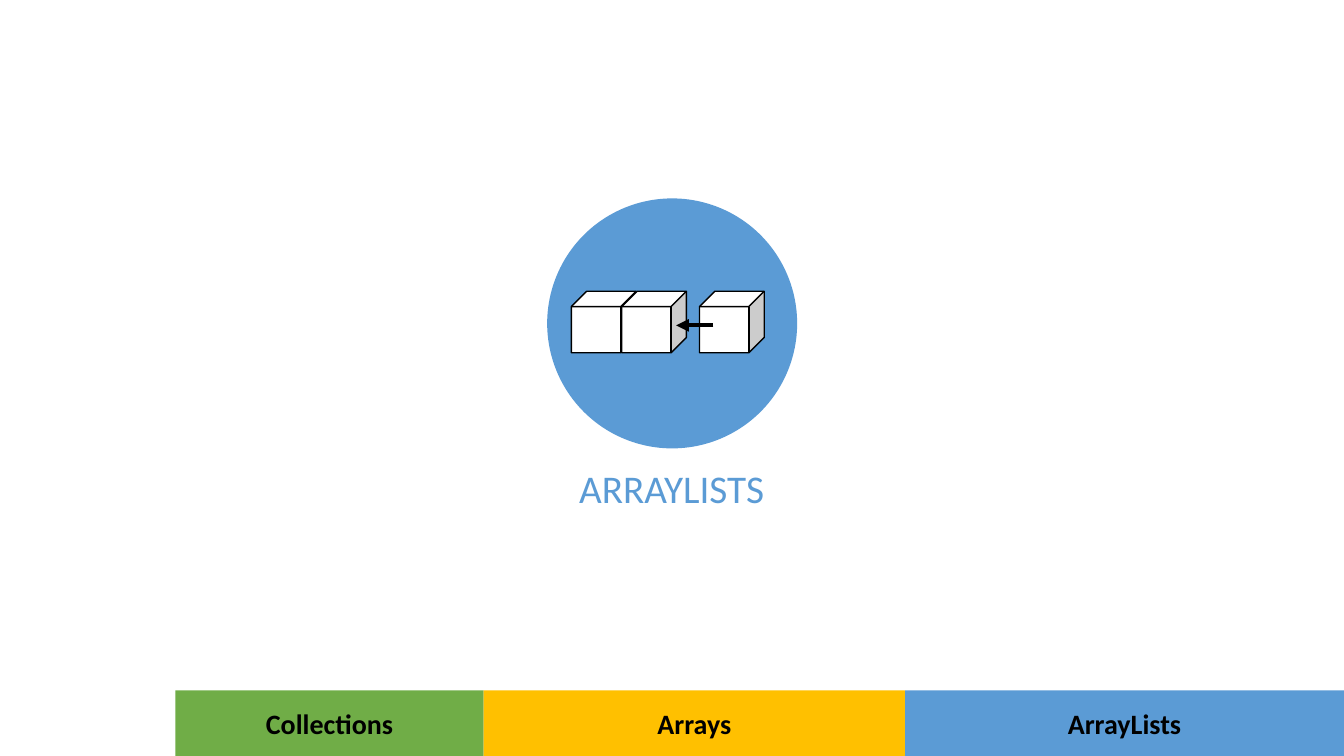
import dataclasses

import lxml.etree
import pptx
import pptx.dml.color
import pptx.enum.shapes
import pptx.enum.text
import pptx.oxml.ns
import pptx.util

Cm = pptx.util.Cm
Pt = pptx.util.Pt
Preset = pptx.enum.shapes.MSO_SHAPE
Anchor = pptx.enum.text.MSO_ANCHOR

SLIDE_WIDTH, SLIDE_HEIGHT = 33.87, 19.05
FONT = "Calibri"
BLUE, GREEN, AMBER = "5B9BD5", "70AD47", "FFC000"
BLACK, WHITE = "000000", "FFFFFF"
TAB_HEIGHT = 1.65


@dataclasses.dataclass(frozen=True)
class Box:
    """A rectangle on the slide, in centimetres."""
    left: float
    top: float
    width: float
    height: float

    def lengths(self) -> tuple:
        """Return left, top, width and height as lengths."""
        return Cm(self.left), Cm(self.top), Cm(self.width), Cm(self.height)


@dataclasses.dataclass(frozen=True)
class Tab:
    """A section of the bar at the foot, from left to right edge."""
    label: str
    left: float
    right: float
    fill: str


TABS = (
    Tab("Collections", 4.42, 12.19, GREEN),
    Tab("Arrays", 12.19, 22.81, AMBER),
    Tab("ArrayLists", 22.81, SLIDE_WIDTH, BLUE),
)
CUBE_LEFTS = (14.4, 15.67, 17.63)


def rgb(hex_code: str) -> pptx.dml.color.RGBColor:
    """Turn a hex string into a colour."""
    return pptx.dml.color.RGBColor.from_string(hex_code)


def add_preset(shapes, preset, box: Box, fill: str, outline: str = ""):
    """Add a flat filled shape, outlined only if a colour is given."""
    shape = shapes.add_shape(preset, *box.lengths())
    shape.shadow.inherit = False
    shape.fill.solid()
    shape.fill.fore_color.rgb = rgb(fill)
    if outline:
        shape.line.color.rgb = rgb(outline)
        shape.line.width = Pt(1)
    else:
        shape.line.fill.background()
    return shape


def write_centred(frame, text: str, size: int, colour: str, bold: bool):
    """Write one centred line and return its paragraph."""
    paragraph = frame.paragraphs[0]
    paragraph.alignment = pptx.enum.text.PP_ALIGN.CENTER
    run = paragraph.add_run()
    run.text = text
    run.font.name = FONT
    run.font.size = Pt(size)
    run.font.bold = bold
    run.font.color.rgb = rgb(colour)
    return paragraph


def add_arrow(shapes, start: float, end: float, height: float) -> None:
    """Add a thick level arrow pointing at its end."""
    arrow = shapes.add_connector(
        pptx.enum.shapes.MSO_CONNECTOR.STRAIGHT,
        Cm(start), Cm(height), Cm(end), Cm(height))
    arrow.line.color.rgb = rgb(BLACK)
    arrow.line.width = Pt(3)
    qn = pptx.oxml.ns.qn
    lxml.etree.SubElement(
        arrow.line._get_or_add_ln(), qn("a:tailEnd"), type="triangle")
    lxml.etree.SubElement(arrow._element.spPr, qn("a:effectLst"))


def add_heading(slide) -> None:
    """Place the title below the circle."""
    heading = slide.shapes.title
    heading.left, heading.top, heading.width, heading.height = Box(
        11.4, 11.84, 11.05, 3.35).lengths()
    frame = heading.text_frame
    frame.margin_left = frame.margin_right = 0
    frame.margin_top = frame.margin_bottom = 0
    frame.vertical_anchor = Anchor.TOP
    frame.word_wrap = True
    frame.auto_size = pptx.enum.text.MSO_AUTO_SIZE.NONE
    write_centred(frame, "ARRAYLISTS", 28, BLUE, False).line_spacing = 0.9


def add_icon(slide) -> None:
    """Draw the circle and the cube joining the row of cubes."""
    add_preset(slide.shapes, Preset.OVAL, Box(13.79, 5, 6.3, 6.3), BLUE)
    cubes = slide.shapes.add_group_shape().shapes
    for left in CUBE_LEFTS:
        add_preset(cubes, Preset.CUBE, Box(left, 7.34, 1.63, 1.55),
                   WHITE, BLACK)
    add_arrow(cubes, 17.98, 17.04, 8.2)


def add_tab(slide, tab: Tab) -> None:
    """Draw one labelled section of the bar at the foot."""
    box = Box(tab.left, SLIDE_HEIGHT - TAB_HEIGHT,
              tab.right - tab.left, TAB_HEIGHT)
    section = add_preset(slide.shapes, Preset.RECTANGLE, box, tab.fill)
    section.text_frame.vertical_anchor = Anchor.MIDDLE
    write_centred(section.text_frame, tab.label, 20, BLACK, True)


def main() -> None:
    """Build and save the slide."""
    deck = pptx.Presentation()
    deck.slide_width, deck.slide_height = Cm(SLIDE_WIDTH), Cm(SLIDE_HEIGHT)
    slide = deck.slides.add_slide(deck.slide_layouts.get_by_name("Title Only"))
    add_heading(slide)
    add_icon(slide)
    for tab in TABS:
        add_tab(slide, tab)
    deck.save("out.pptx")


main()
